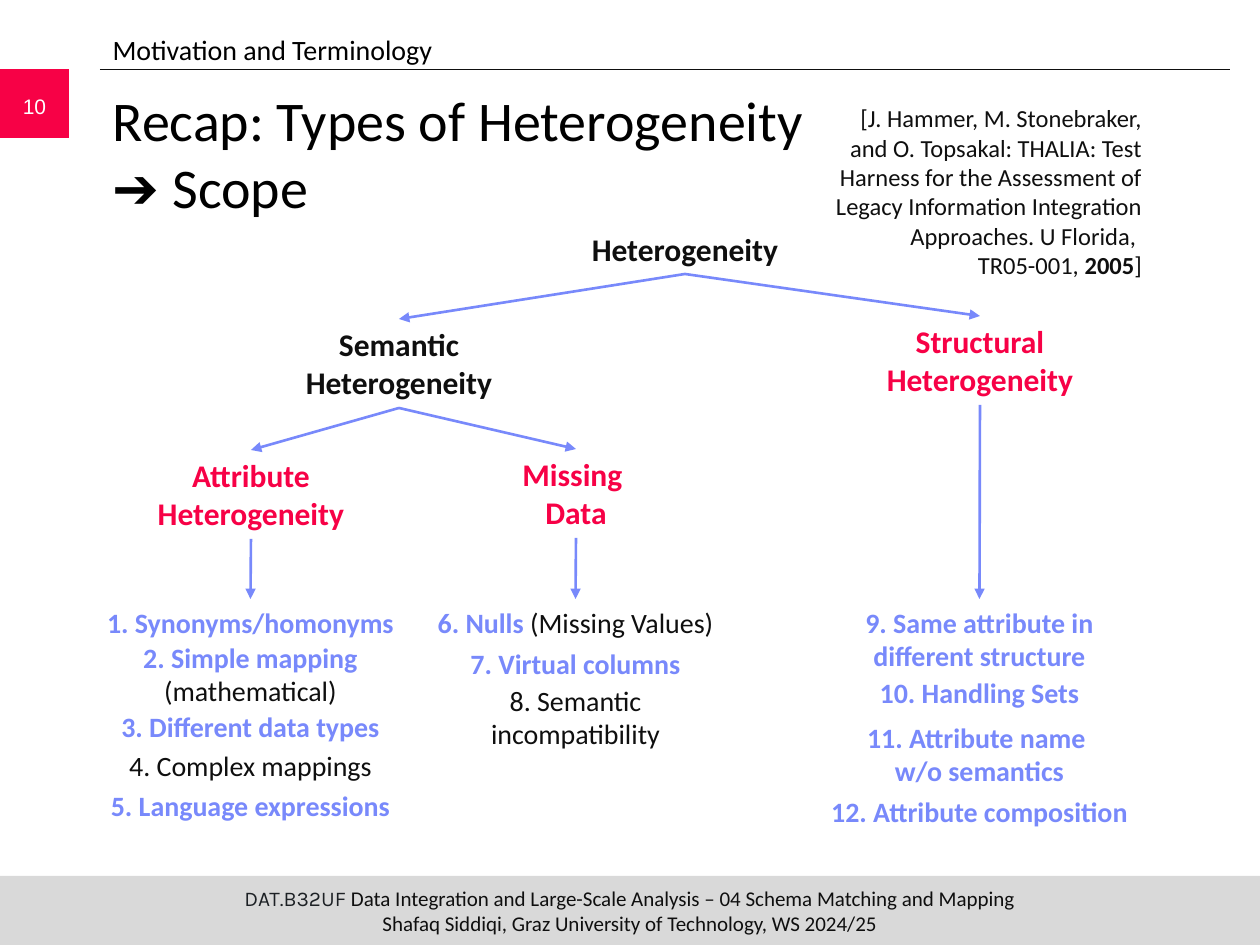
from dataclasses import dataclass
from typing import NamedTuple

from lxml.etree import SubElement
from pptx import Presentation
from pptx.dml.color import RGBColor
from pptx.enum.shapes import MSO_CONNECTOR as Connector, MSO_SHAPE as Shape
from pptx.enum.text import MSO_ANCHOR as Anchor, MSO_AUTO_SIZE as AutoSize, PP_ALIGN as Align
from pptx.oxml.ns import qn
from pptx.util import Emu, Pt

PX = 914400 / 126
BLACK, INK, WHITE = "000000", "0F0F0F", "FFFFFF"
RED, BLUE, GRAY = "F70146", "7889FB", "D9D9D9"
BOTTOM, TOP = 2, 0


class Box(NamedTuple):
    left: int
    top: int
    width: int
    height: int


class Span(NamedTuple):
    text: str
    color: str = INK
    bold: bool = False
    font: str = "Calibri"


@dataclass
class Node:
    label: str
    left: int
    top: int
    color: str = INK
    height: int = 89
    parent: str = ""


@dataclass
class Item:
    top: int
    spans: list[Span]
    lines: int = 1
    widen: int = 0


@dataclass
class Column:
    parent: str
    left: int
    items: list[Item]


def px(value: int) -> Emu:
    return Emu(round(value * PX))


def rgb(color: str) -> RGBColor:
    return RGBColor.from_string(color)


def style(font, span: Span) -> None:
    font.name, font.bold = span.font, span.bold
    font.color.rgb = rgb(span.color)


def write(shape, spans: list[Span], size: int, align=Align.CENTER,
          anchor=Anchor.TOP, grow: bool = False) -> None:
    """Fill a shape with one paragraph; the last span sets its base font."""
    frame = shape.text_frame
    frame.word_wrap, frame.vertical_anchor = True, anchor
    frame.auto_size = AutoSize.SHAPE_TO_FIT_TEXT if grow else AutoSize.NONE
    paragraph = frame.paragraphs[0]
    paragraph.alignment, paragraph.space_before = align, Pt(0)
    base = spans[-1]
    paragraph.font.size = Pt(size)
    style(paragraph.font, base)
    for span in spans:
        for index, line in enumerate(span.text.split("\n")):
            if index:
                paragraph.add_line_break()
            run = paragraph.add_run()
            run.text = line
            if span[1:] != base[1:]:
                style(run.font, span)


def place(shape, box: Box) -> None:
    shape.left, shape.top, shape.width, shape.height = map(px, box)


def add_rectangle(shapes, box: Box, fill: str):
    shape = shapes.add_shape(Shape.RECTANGLE, *map(px, box))
    shape.shadow.inherit = False
    shape.fill.solid()
    shape.fill.fore_color.rgb = rgb(fill)
    shape.line.fill.background()
    return shape


def add_line(shapes, ends: tuple[int, int, int, int], color: str, width: float):
    line = shapes.add_connector(Connector.STRAIGHT, *map(px, ends))
    line.line.color.rgb = rgb(color)
    line.line.width = Pt(width)
    SubElement(line._element.spPr, qn("a:effectLst"))
    return line


def add_arrow(shapes, source, target) -> None:
    arrow = add_line(shapes, (0, 0, 0, 0), BLUE, 1.5)
    arrow.begin_connect(source, BOTTOM)
    arrow.end_connect(target, TOP)
    SubElement(arrow.line._get_or_add_ln(), qn("a:tailEnd"), type="triangle")


def add_node(shapes, node: Node):
    shape = add_rectangle(shapes, Box(node.left, node.top, 286, node.height), WHITE)
    write(shape, [Span(node.label, node.color, True)], 18, grow=True)
    return shape


def add_column(shapes, column: Column, parent) -> None:
    group = shapes.add_group_shape().shapes
    boxes = []
    for item in column.items:
        box = Box(column.left - item.widen, item.top, 325 + 2 * item.widen,
                  13 + 34 * item.lines)
        text = group.add_textbox(*map(px, box))
        write(text, item.spans, 16, grow=True)
        boxes.append(text)
    add_arrow(group, parent, boxes[0])


def key(text: str) -> Span:
    return Span(text, BLUE, True)


NODES = [
    Node("Heterogeneity", 542, 224, height=50),
    Node("Structural Heterogeneity", 837, 316, RED, parent="Heterogeneity"),
    Node("Semantic Heterogeneity", 256, 319, parent="Heterogeneity"),
    Node("Attribute Heterogeneity", 108, 450, RED, parent="Semantic Heterogeneity"),
    Node("Missing \nData", 433, 449, RED, parent="Semantic Heterogeneity"),
]
COLUMNS = [
    Column("Attribute Heterogeneity", 88, [
        Item(599, [key("1. Synonyms/homonyms")]),
        Item(634, [key("2. Simple mapping "), Span("(mathematical)")], 2),
        Item(703, [key("3. Different data types")]),
        Item(742, [Span("4. Complex mappings")]),
        Item(782, [key("5. Language expressions")]),
    ]),
    Column("Missing \nData", 413, [
        Item(599, [key("6. Nulls "), Span("(Missing Values)")]),
        Item(640, [key("7. Virtual columns")]),
        Item(677, [Span("8. Semantic incompatibility")], 2),
    ]),
    Column("Structural Heterogeneity", 817, [
        Item(599, [key("9. Same attribute in different structure")], 2, widen=9),
        Item(669, [key("10. Handling Sets")]),
        Item(714, [key("11. Attribute name \nw/o semantics")], 2),
        Item(788, [key("12. Attribute composition")]),
    ]),
]


def main() -> None:
    presentation = Presentation()
    presentation.slide_width, presentation.slide_height = px(1260), px(945)
    slide = presentation.slides.add_slide(presentation.slide_layouts[1])
    shapes = slide.shapes

    # Title and section heading
    title, section = slide.placeholders
    place(title, Box(100, 79, 1129, 105))
    write(title, [Span("Recap: Types of Heterogeneity\n➔ Scope", BLACK)], 32, Align.LEFT)
    place(section, Box(100, 26, 1134, 45))
    properties = section.text_frame.paragraphs[0]._p.get_or_add_pPr()
    properties.set("marL", "0")
    properties.set("indent", "0")
    SubElement(properties, qn("a:buNone"))
    write(section, [Span("Motivation and Terminology", BLACK)], 16, Align.LEFT)

    # Header rule, page number and footer
    add_line(shapes, (100, 69, 1230, 69), INK, 0.5)
    add_rectangle(shapes, Box(0, 69, 69, 69), RED)
    number = shapes.add_textbox(*map(px, Box(0, 81, 69, 50)))
    write(number, [Span("10", WHITE, font="Arial")], 12, anchor=Anchor.MIDDLE)
    footer = add_rectangle(shapes, Box(0, 876, 1260, 69), GRAY)
    frame = footer.text_frame
    frame.margin_left = frame.margin_right = frame.margin_top = frame.margin_bottom = 0
    write(footer, [
        Span("DAT.B32UF ", "1D2125", font="Karla"),
        Span("Data Integration and Large-Scale Analysis – 04 Schema Matching and Mapping\n"
             "Shafaq Siddiqi, Graz University of Technology, WS 2024/25"),
    ], 12, anchor=Anchor.MIDDLE)

    # Heterogeneity tree
    drawn = {node.label: add_node(shapes, node) for node in NODES}
    for node in NODES:
        if node.parent:
            add_arrow(shapes, drawn[node.parent], drawn[node.label])
    for column in COLUMNS:
        add_column(shapes, column, drawn[column.parent])

    # Citation
    citation = shapes.add_textbox(*map(px, Box(827, 97, 315, 190)))
    citation.text_frame.margin_left = citation.text_frame.margin_right = 0
    write(citation, [
        Span("[J. Hammer, M. Stonebraker, and O. Topsakal: THALIA: Test Harness for the "
             "Assessment of Legacy Information Integration Approaches. U Florida, \nTR05-001, "),
        Span("2005", bold=True), Span("]"),
    ], 14, Align.RIGHT, grow=True)

    presentation.save("out.pptx")


if __name__ == "__main__":
    main()
